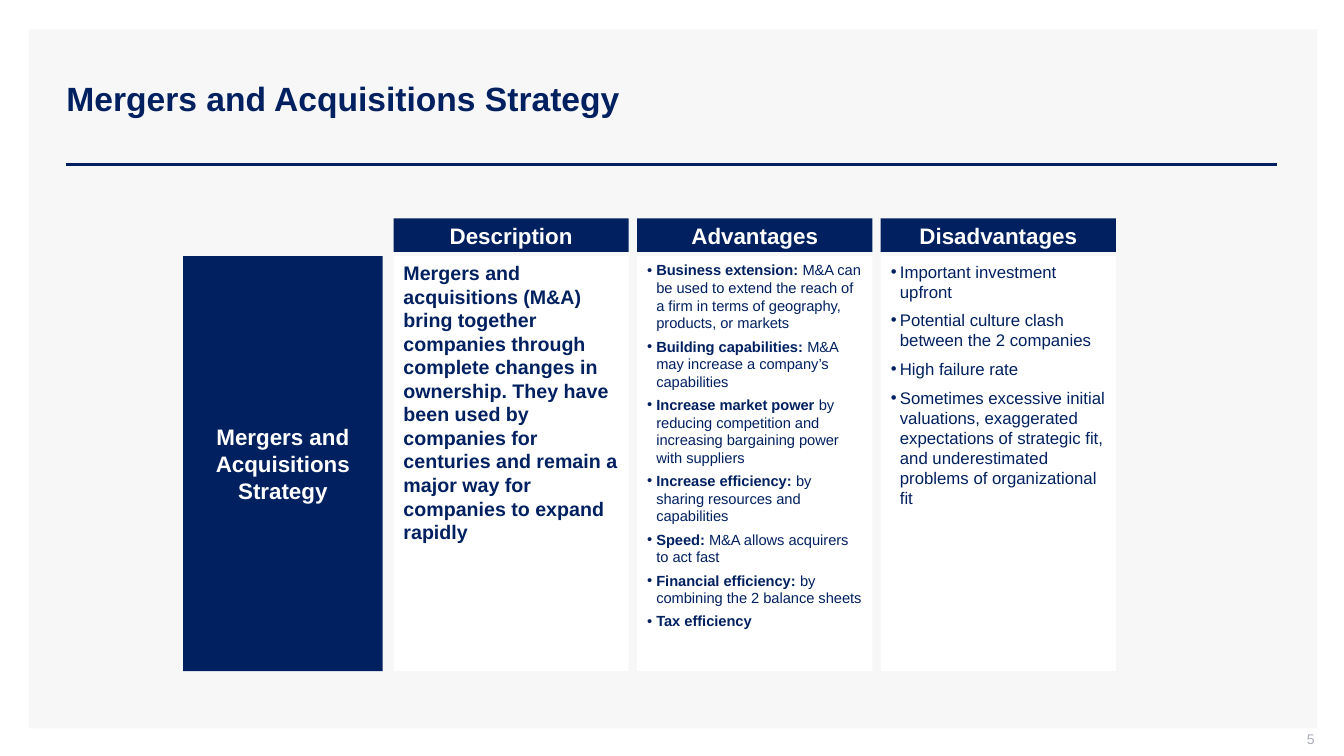
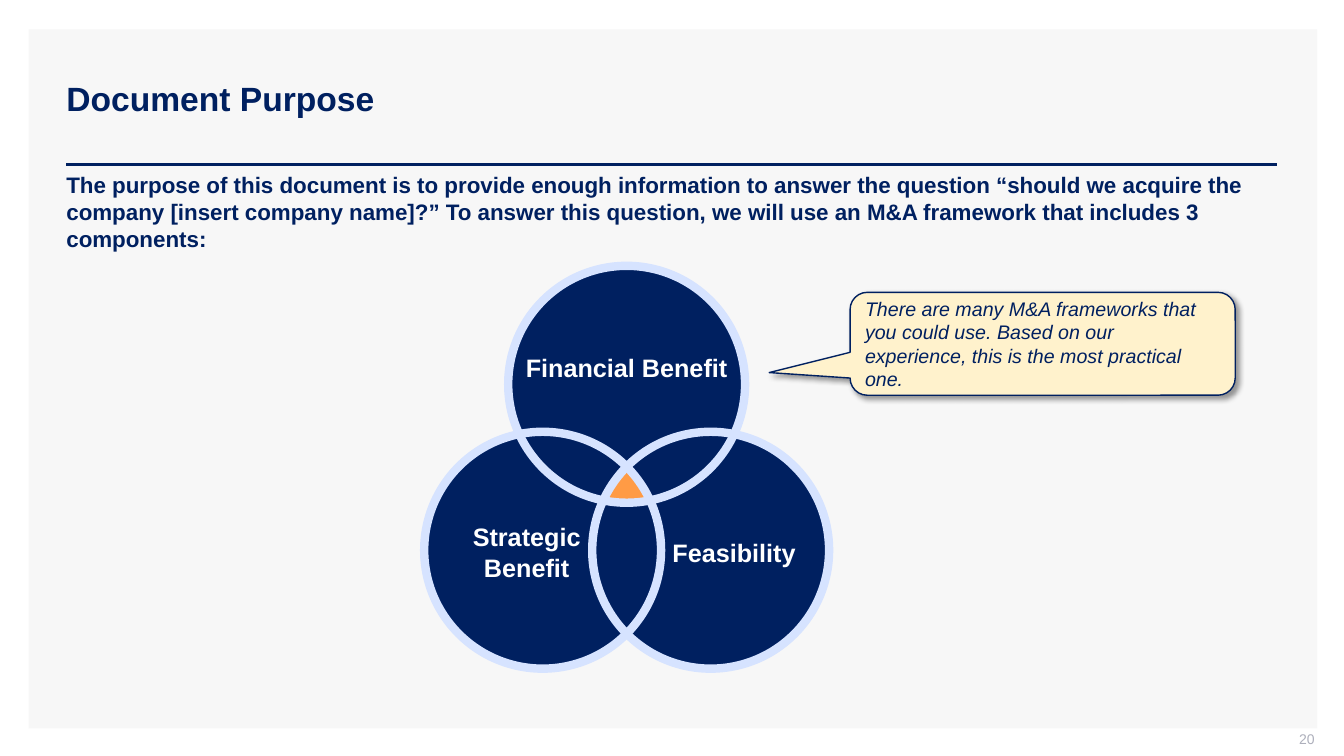
from math import atan2, cos, hypot, pi, sin

from lxml.etree import SubElement
from pptx import Presentation
from pptx.dml.color import RGBColor
from pptx.enum.shapes import MSO_CONNECTOR, MSO_SHAPE
from pptx.enum.text import MSO_ANCHOR, MSO_AUTO_SIZE, PP_ALIGN
from pptx.oxml import parse_xml
from pptx.oxml.ns import nsdecls, qn
from pptx.util import Inches, Pt

NAVY, WHITE, PANEL, GREY = "002060", "FFFFFF", "F7F7F7", "ADAFBB"
RING, ORANGE, CREAM = "D6E3FF", "FF9B45", "FFF2CC"
FONT = "Arial"
COLS, ROWS = 160, 90  # square grid, twelve cells to the inch
CELL = Inches(1) / 12
LEFT, CONTENT_W = 7.9, 144.1


def g(cells):
    """Length of a number of grid cells."""
    return round(cells * CELL)


def rgb(value):
    return RGBColor.from_string(value)


def set_bullet(p, bullet, indent):
    """Give a paragraph a bullet with hanging indent, or none at all."""
    pPr = p._p.get_or_add_pPr()
    pPr.set("marL", str(indent))
    pPr.set("indent", str(-indent))
    if bullet:
        SubElement(pPr, qn("a:buChar")).set("char", bullet)
    else:
        SubElement(pPr, qn("a:buNone"))


def write(sp, paras, size=16, color=NAVY, bold=False, italic=False,
          align=PP_ALIGN.LEFT, anchor=MSO_ANCHOR.TOP, margins=(0.1, 0.05, 0.1, 0.05),
          gap=0, bullet=None, line=1.0):
    """Fill a shape; a paragraph is a string or a list of (text, bold) runs."""
    tf = sp.text_frame
    tf.word_wrap, tf.auto_size, tf.vertical_anchor = True, MSO_AUTO_SIZE.NONE, anchor
    (tf.margin_left, tf.margin_top,
     tf.margin_right, tf.margin_bottom) = map(Inches, margins)
    for i, runs in enumerate(paras):
        p = tf.add_paragraph() if i else tf.paragraphs[0]
        set_bullet(p, bullet, Inches(0.09) if bullet else 0)
        p.alignment, p.line_spacing = align, line
        p.space_before, p.space_after = Pt(gap if i else 0), Pt(gap)
        for text, strong in [(runs, bold)] if isinstance(runs, str) else runs:
            r = p.add_run()
            r.text = text
            r.font.name, r.font.size = FONT, Pt(size)
            r.font.bold, r.font.italic = strong, italic
            r.font.color.rgb = rgb(color)


class Deck:
    """Holds the shared style and the current slide."""

    def __init__(self):
        self.prs = Presentation()
        self.prs.slide_width, self.prs.slide_height = g(COLS), g(ROWS)
        self.s = None

    def new_slide(self, layout, title, number):
        first = self.s is None
        self.s = self.prs.slides.add_slide(self.prs.slide_layouts[layout])
        if first:
            self.add_frame()
        sp = self.place(self.s.shapes.title, 6.7, 4.8, 145.3, 14.3)
        write(sp, [title], size=24, bold=True, anchor=MSO_ANCHOR.MIDDLE, line=0.9)
        self.label(120.5, 87, 36, 2.5, str(number), size=10, color=GREY,
                   align=PP_ALIGN.RIGHT, margins=(0.1, 0, 0, 0.05))

    def add_frame(self):
        """Move the panel and the title rule to the master, behind everything."""
        panel = self.shape(3.4, 3.5, 153.4, 83.2, PANEL)
        rule = self.s.shapes.add_connector(
            MSO_CONNECTOR.STRAIGHT, g(LEFT), g(19.55), g(LEFT + CONTENT_W), g(19.55))
        rule.line.color.rgb, rule.line.width = rgb(NAVY), Pt(2)
        SubElement(rule._element.spPr, qn("a:effectLst"))
        tree = self.prs.slide_master.shapes.element
        for i, part in enumerate((panel, rule)):
            tree.insert(2 + i, part.element)

    def place(self, sp, x, y, w, h):
        sp.left, sp.top, sp.width, sp.height = map(g, (x, y, w, h))
        return sp

    def paint(self, sp, fill=None, line=None, width=1):
        sp.shadow.inherit = False
        if fill:
            sp.fill.solid()
            sp.fill.fore_color.rgb = rgb(fill)
        else:
            sp.fill.background()
        if line:
            sp.line.color.rgb, sp.line.width = rgb(line), Pt(width)
        else:
            sp.line.fill.background()
        return sp

    def shape(self, x, y, w, h, fill=None, line=None, width=1, kind=MSO_SHAPE.RECTANGLE):
        sp = self.s.shapes.add_shape(kind, *map(g, (x, y, w, h)))
        return self.paint(sp, fill, line, width)

    def box(self, x, y, w, h, text):
        """Navy heading box."""
        write(self.shape(x, y, w, h, NAVY), [text], color=WHITE, bold=True,
              align=PP_ALIGN.CENTER, anchor=MSO_ANCHOR.MIDDLE)

    def label(self, x, y, w, h, text, **fmt):
        sp = self.s.shapes.add_textbox(*map(g, (x, y, w, h)))
        write(sp, [text], anchor=MSO_ANCHOR.MIDDLE, **fmt)

    def body(self, idx, x, y, w, h, paras, fill=None, **fmt):
        sp = self.place(self.s.placeholders[idx], x, y, w, h)
        if fill:
            sp.fill.solid()
            sp.fill.fore_color.rgb = rgb(fill)
        write(sp, paras, **fmt)

    def circle(self, cx, cy, r, **look):
        self.shape(cx - r, cy - r, 2 * r, 2 * r, kind=MSO_SHAPE.OVAL, **look)

    def polygon(self, points, fill):
        start, *rest = [(g(x), g(y)) for x, y in points]
        builder = self.s.shapes.build_freeform(*start)
        builder.add_line_segments(rest)
        self.paint(builder.convert_to_shape(), fill)

    def callout(self, x, y, w, h, text, tip):
        sp = self.shape(x, y, w, h, CREAM, NAVY, kind=MSO_SHAPE.ROUNDED_RECTANGULAR_CALLOUT)
        for i, value in enumerate((*tip, 0.167)):
            sp.adjustments[i] = value
        sp._element.spPr.find(qn("a:effectLst")).append(parse_xml(
            f'<a:outerShdw {nsdecls("a")} blurRad="{Pt(4)}" dist="{Pt(3)}" dir="2700000" '
            'algn="tl" rotWithShape="0"><a:srgbClr val="000000">'
            '<a:alpha val="40000"/></a:srgbClr></a:outerShdw>'))
        write(sp, [text], size=14, italic=True, anchor=MSO_ANCHOR.MIDDLE)


def common_area(centers, r):
    """Outline of the area shared by equal circles."""
    points = [(cx + r * cos(a * pi / 180), cy + r * sin(a * pi / 180))
              for cx, cy in centers for a in range(360)]
    points = [(x, y) for x, y in points
              if all(hypot(x - cx, y - cy) <= r + 0.01 for cx, cy in centers)]
    mx, my = (sum(axis) / len(points) for axis in zip(*points))
    return sorted(points, key=lambda pt: atan2(pt[1] - my, pt[0] - mx))


def strategy_slide(deck):
    deck.new_slide(3, "Mergers and Acquisitions Strategy", 5)
    top, height, width = 30.5, 49.4, 28
    xs = [46.85 + 29 * i for i in range(3)]

    # Headings
    deck.box(21.8, top, 23.75, height, "Mergers and Acquisitions Strategy")
    for x, heading in zip(xs, ("Description", "Advantages", "Disadvantages")):
        deck.box(x, 26, width, 4, heading)

    # Columns
    write(deck.shape(xs[0], top, width, height, WHITE), [
        "Mergers and acquisitions (M&A) bring together companies through complete "
        "changes in ownership. They have been used by companies for centuries and "
        "remain a major way for companies to expand rapidly"], size=14, bold=True)
    advantages = [
        ("Business extension: ", "M&A can be used to extend the reach of a firm in "
         "terms of geography, products, or markets"),
        ("Building capabilities: ", "M&A may increase a company’s capabilities"),
        ("Increase market power ", "by reducing competition and increasing "
         "bargaining power with suppliers"),
        ("Increase efficiency: ", "by sharing resources and capabilities"),
        ("Speed: ", "M&A allows acquirers to act fast"),
        ("Financial efficiency: ", "by combining the 2 balance sheets"),
        ("Tax efficiency",),
    ]
    deck.body(1, xs[1], top, width, height,
              [list(zip(parts, (True, False))) for parts in advantages],
              fill=WHITE, size=10.5, gap=2, bullet="•")
    deck.body(2, xs[2], top, width, height, [
        "Important investment upfront",
        "Potential culture clash between the 2 companies",
        "High failure rate",
        "Sometimes excessive initial valuations, exaggerated expectations of "
        "strategic fit, and underestimated problems of organizational fit",
    ], fill=WHITE, size=12, gap=3, bullet="•")


def purpose_slide(deck):
    deck.new_slide(1, "Document Purpose", 20)
    deck.body(1, LEFT, 20.4, CONTENT_W, 9.7, [
        "The purpose of this document is to provide enough information to answer the "
        "question “should we acquire the company [insert company name]?” To answer this "
        "question, we will use an M&A framework that includes 3 components:"],
        bold=True, margins=(0, 0, 0, 0))

    # Venn diagram: discs, shared core, then rings on top
    mid, r = 74.6, 14.1
    centers = [(mid, 45.75), (mid - 10, 65.5), (mid + 10, 65.5)]
    for cx, cy in centers:
        deck.circle(cx, cy, r, fill=NAVY)
    deck.polygon(common_area(centers, r), ORANGE)
    for cx, cy in centers:
        deck.circle(cx, cy, r, line=RING, width=6)
    for text, cx, cy, w in (("Financial Benefit", mid, 43.7, 26),
                            ("Strategic Benefit", 62.7, 65.7, 15),
                            ("Feasibility", 87.4, 65.8, 17)):
        deck.label(cx - w / 2, cy - 4, w, 8, text, size=18, color=WHITE, bold=True,
                   align=PP_ALIGN.CENTER, margins=(0, 0, 0, 0))

    # Remark
    deck.callout(101.2, 34.8, 45.85, 12.25,
                 "There are many M&A frameworks that you could use. Based on our "
                 "experience, this is the most practical one.", tip=(-0.71, 0.28))


def main():
    deck = Deck()
    strategy_slide(deck)
    purpose_slide(deck)
    deck.prs.save("out.pptx")


if __name__ == "__main__":
    main()
